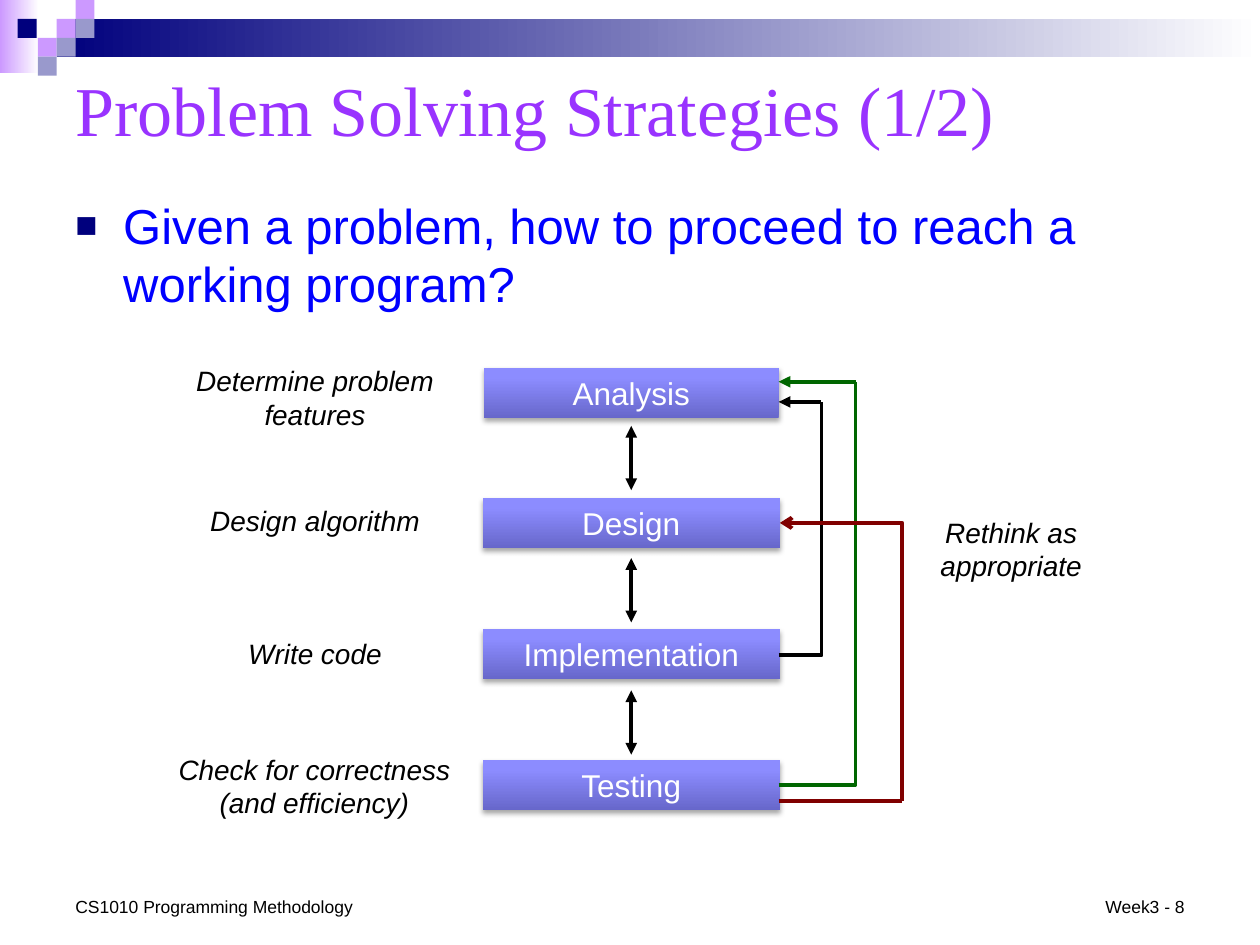
"""Build a slide on problem solving strategies with a four-step flow diagram."""
from lxml import etree
from pptx import Presentation
from pptx.dml.color import RGBColor
from pptx.enum.shapes import MSO_CONNECTOR, MSO_SHAPE
from pptx.enum.text import MSO_ANCHOR, MSO_AUTO_SIZE, PP_ALIGN
from pptx.oxml.ns import qn
from pptx.util import Inches, Pt

RECTANGLE = MSO_SHAPE.RECTANGLE
STRAIGHT, ELBOW = MSO_CONNECTOR.STRAIGHT, MSO_CONNECTOR.ELBOW
TOP, MIDDLE, BOTTOM = MSO_ANCHOR.TOP, MSO_ANCHOR.MIDDLE, MSO_ANCHOR.BOTTOM
LEFT, CENTER, RIGHT = PP_ALIGN.LEFT, PP_ALIGN.CENTER, PP_ALIGN.RIGHT
NO_AUTOFIT = MSO_AUTO_SIZE.NONE
COLORS = {
    "black": "000000", "white": "FFFFFF", "navy": "00007D", "lilac": "CC99FF",
    "grey blue": "9999CC", "box dark": "6767CA", "box light": "8C8CFF",
    "title": "9933FF", "question": "0000FF", "green": "006600", "red": "800000",
}


def rgb(name):
    return RGBColor.from_string(COLORS[name])


def add_element(parent, tag, **attributes):
    return etree.SubElement(parent, qn(tag), attributes)


class SlideBuilder:
    """Holds the text style and the current slide."""

    font = "Arial"
    line_width = Pt(2.25)

    def __init__(self, slide):
        self.slide = slide

    def set_text(self, shape, text, size, color, align=LEFT, anchor=TOP,
                 italic=False, font=None, wrap=True):
        frame = shape.text_frame
        frame.text = text
        frame.word_wrap = wrap
        frame.auto_size = NO_AUTOFIT
        frame.vertical_anchor = anchor
        paragraph = frame.paragraphs[0]
        paragraph.alignment = align
        for run in paragraph.runs:
            run.font.name = font or self.font
            run.font.size = Pt(size)
            run.font.italic = italic
            run.font.color.rgb = rgb(color)
        return paragraph

    def title(self, text, left, top, width, height):
        shape = self.slide.shapes.title
        shape.left, shape.top = Inches(left), Inches(top)
        shape.width, shape.height = Inches(width), Inches(height)
        self.set_text(shape, text, 40, "title", anchor=MIDDLE, font="Times New Roman")

    def text(self, text, left, top, width, height, size, color="black", **style):
        shape = self.slide.shapes.add_textbox(
            Inches(left), Inches(top), Inches(width), Inches(height))
        return self.set_text(shape, text, size, color, **style)

    def bullet(self, *arguments):
        properties = self.text(*arguments)._p.get_or_add_pPr()
        properties.set("marL", str(Inches(0.38)))
        properties.set("indent", str(-Inches(0.38)))
        bullet_color = add_element(properties, "a:buClr")
        add_element(bullet_color, "a:srgbClr", val=COLORS["navy"])
        add_element(properties, "a:buSzPct", val="75000")
        add_element(properties, "a:buFont", typeface=self.font)
        add_element(properties, "a:buChar", char="■")

    def rectangle(self, left, top, width, height, color):
        shape = self.slide.shapes.add_shape(
            RECTANGLE, Inches(left), Inches(top), Inches(width), Inches(height))
        shape.shadow.inherit = False
        shape.line.fill.background()
        shape.fill.solid()
        shape.fill.fore_color.rgb = rgb(color)
        return shape

    def gradient(self, left, top, width, height, start, end, angle=0, end_position=1.0):
        shape = self.rectangle(left, top, width, height, start)
        shape.fill.gradient()
        shape.fill.gradient_angle = angle
        first, last = shape.fill.gradient_stops
        first.color.rgb, first.position = rgb(start), 0
        last.color.rgb, last.position = rgb(end), end_position
        return shape

    def step(self, text, left, top, width, height):
        shape = self.gradient(left, top, width, height, "box dark", "box light", 90, 0.8)
        effects = shape._element.spPr.find(qn("a:effectLst"))
        shadow = add_element(effects, "a:outerShdw", blurRad=str(Pt(3.1)),
                             dist=str(Pt(1.8)), dir="5400000", rotWithShape="0")
        shadow_color = add_element(shadow, "a:srgbClr", val=COLORS["black"])
        add_element(shadow_color, "a:alpha", val="35000")
        self.set_text(shape, text, 18, "white", CENTER, MIDDLE)

    def line(self, start, end, color, head=None, tail=None, kind=STRAIGHT):
        connector = self.slide.shapes.add_connector(
            kind, *(Inches(value) for value in (*start, *end)))
        connector.line.color.rgb = rgb(color)
        connector.line.width = self.line_width
        properties = connector._element.spPr
        if kind == ELBOW:
            properties.find(qn("a:prstGeom")).set("prst", "bentConnector2")
        line = properties.find(qn("a:ln"))
        for tag, arrow in (("a:headEnd", head), ("a:tailEnd", tail)):
            if arrow:
                add_element(line, tag, type=arrow)
        add_element(properties, "a:effectLst")


def main():
    presentation = Presentation()
    presentation.slide_width, presentation.slide_height = Inches(10), Inches(7.5)
    slide = presentation.slides.add_slide(presentation.slide_layouts[5])
    builder = SlideBuilder(slide)

    builder.gradient(0, 0, 0.31, 0.58, "lilac", "white")
    builder.gradient(0.45, 0.15, 9.55, 0.3, "navy", "white")
    for left, top, color in (
            (0.45, 0.15, "lilac"), (0.6, 0, "lilac"), (0.6, 0.15, "grey blue"),
            (0.3, 0.3, "lilac"), (0.14, 0.15, "navy"), (0.45, 0.3, "grey blue"),
            (0.3, 0.45, "grey blue")):
        builder.rectangle(left, top, 0.15, 0.15, color)

    builder.title("Problem Solving Strategies (1/2)", 0.5, 0.42, 9, 0.88)
    builder.bullet("Given a problem, how to proceed to reach a working program?",
                   0.5, 1.5, 9, 1.04, 28, "question")

    for text, left, top, width in (
            ("Analysis", 3.84, 2.92, 2.34), ("Design", 3.83, 3.95, 2.36),
            ("Implementation", 3.83, 4.99, 2.36), ("Testing", 3.83, 6.03, 2.36)):
        builder.step(text, left, top, width, 0.4)
    for top in (3.38, 4.43, 5.48):
        builder.line((5.01, top), (5.01, top + 0.51), "black", "triangle", "triangle")

    for text, left, top, width, height in (
            ("Determine problem features", 1.33, 2.84, 2.34, 0.64),
            ("Design algorithm", 1.33, 3.95, 2.34, 0.37),
            ("Write code", 1.33, 5, 2.34, 0.37),
            ("Check for correctness (and efficiency)", 1.11, 5.92, 2.77, 0.64),
            ("Rethink as appropriate", 7.24, 4.04, 1.57, 0.64)):
        builder.text(text, left, top, width, height, 16, align=CENTER, italic=True)

    for bottom, right, top, color in ((5.2, 6.52, 3.19, "black"),
                                      (6.23, 6.79, 3.03, "green")):
        builder.line((6.18, bottom), (right, top), color, kind=ELBOW)
        builder.line((right, top), (6.18, top), color, tail="triangle")
    builder.line((6.19, 4.15), (7.16, 6.36), "red", head="arrow", kind=ELBOW)
    builder.line((6.18, 6.36), (7.16, 6.36), "red")

    builder.text("CS1010 Programming Methodology", 0.5, 7.06, 2.42, 0.27, 10,
                 anchor=BOTTOM)
    builder.text("Week3 - 8", 8.58, 7.06, 0.92, 0.27, 10, align=RIGHT,
                 anchor=BOTTOM, wrap=False)
    presentation.save("out.pptx")


if __name__ == "__main__":
    main()
